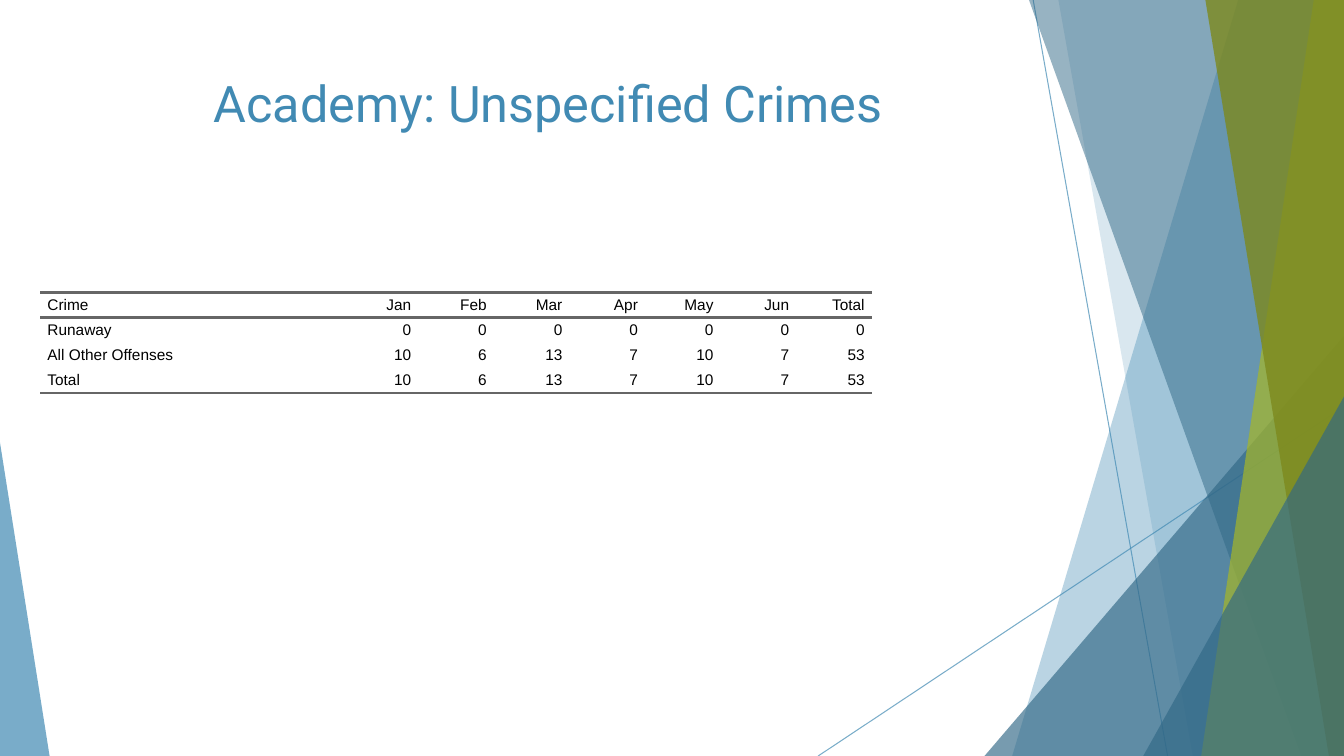
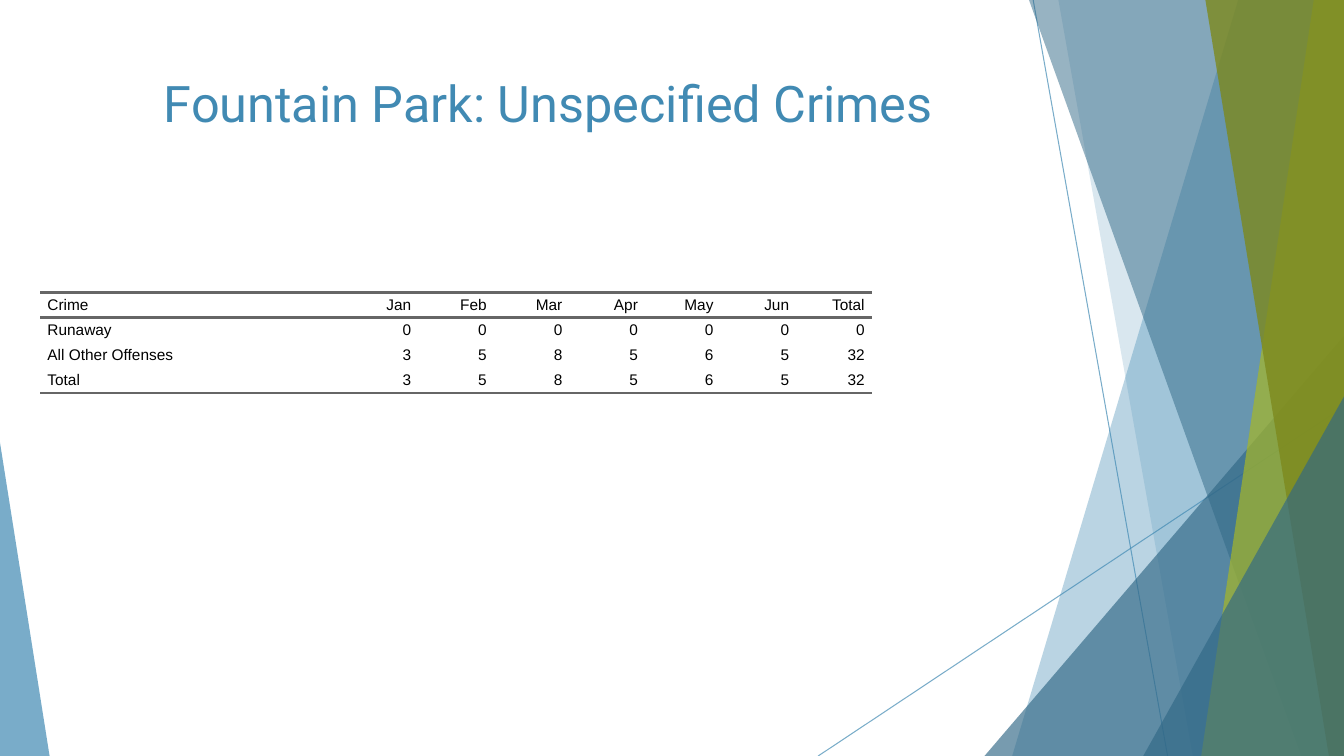
import pptx
import pptx.dml.color
import pptx.enum.shapes
import pptx.enum.text
import pptx.oxml.ns
import pptx.oxml.xmlchemy
import pptx.util

BLUE = pptx.dml.color.RGBColor(0x41, 0x8A, 0xB3)
DARK_BLUE = pptx.dml.color.RGBColor(0x31, 0x68, 0x86)
LIME = pptx.dml.color.RGBColor(0xA6, 0xB7, 0x27)
OLIVE = pptx.dml.color.RGBColor(0x7D, 0x89, 0x1D)
GREY = pptx.dml.color.RGBColor(0x66, 0x66, 0x66)
BLACK = pptx.dml.color.RGBColor(0, 0, 0)

COLUMNS, ROWS = 160, 90
NO_TABLE_STYLE = "{2D5ABB26-0587-4C30-8999-92F81FD0307C}"
ALIGN = pptx.enum.text.PP_ALIGN
ANCHOR = pptx.enum.text.MSO_ANCHOR

HEADINGS = ["Crime", "Jan", "Feb", "Mar", "Apr", "May", "Jun", "Total"]
REPORTS = {
    "Academy: Unspecified Crimes": [10, 6, 13, 7, 10, 7],
    "Fountain Park: Unspecified Crimes": [3, 5, 8, 5, 6, 5],
}


def write_text(frame, text, font, size, color, align=ALIGN.LEFT, spacing=0, indent=0):
    paragraph = frame.paragraphs[0]
    paragraph.alignment = align
    paragraph.space_before = paragraph.space_after = pptx.util.Pt(spacing)
    properties = paragraph._p.get_or_add_pPr()
    for side in ("marL", "marR"):
        properties.set(side, str(pptx.util.Inches(indent)))
    run = paragraph.add_run()
    run.text = text
    run.font.name = font
    run.font.size = pptx.util.Pt(size)
    run.font.color.rgb = color


def new_element(tag):
    return pptx.oxml.xmlchemy.OxmlElement(tag)


def set_opacity(element, percent):
    color = element.find(".//" + pptx.oxml.ns.qn("a:srgbClr"))
    alpha = new_element("a:alpha")
    alpha.set("val", str(percent * 1000))
    color.append(alpha)


def set_border(cell, sides):
    properties = cell._tc.get_or_add_tcPr()
    for position, side in enumerate(sides):
        line = new_element("a:ln" + side)
        line.set("w", str(pptx.util.Pt(2)))
        fill = new_element("a:solidFill")
        color = new_element("a:srgbClr")
        color.set("val", str(GREY))
        fill.append(color)
        line.append(fill)
        properties.insert(position, line)


class Deck:
    def __init__(self):
        self.presentation = pptx.Presentation()
        self.presentation.slide_width = pptx.util.Inches(13.33)
        self.presentation.slide_height = pptx.util.Inches(7.5)
        self.slide = None

    def x(self, columns):
        return round(self.presentation.slide_width * columns / COLUMNS)

    def y(self, rows):
        return round(self.presentation.slide_height * rows / ROWS)

    def box(self, left, top, width, height):
        return self.x(left), self.y(top), self.x(width), self.y(height)

    def new_slide(self):
        layout = self.presentation.slide_layouts[6]
        self.slide = self.presentation.slides.add_slide(layout)
        self.backdrop()

    def backdrop(self):
        self.line(123, 0, 139, ROWS)
        self.line(COLUMNS, 48.4, 97.4, ROWS)
        self.panel(147.4, 120.5, BLUE, 36)
        self.panel(126, 142, BLUE, 20)
        self.triangle(117.2, 40, COLUMNS, 1, DARK_BLUE, 66)
        self.panel(122.5, 154.9, DARK_BLUE, 50)
        self.panel(156.4, 143, LIME, 70)
        self.panel(143.5, 158.2, OLIVE, 80)
        self.triangle(136.1, 47.2, COLUMNS, 1, DARK_BLUE, 66)
        self.triangle(0, 52.7, 5.9, 0, BLUE, 70)

    def line(self, start_x, start_y, end_x, end_y):
        connector = self.slide.shapes.add_connector(
            pptx.enum.shapes.MSO_CONNECTOR.STRAIGHT,
            self.x(start_x), self.y(start_y), self.x(end_x), self.y(end_y))
        connector.line.color.rgb = BLUE
        connector.line.width = pptx.util.Pt(0.75)
        set_opacity(connector._element, 70)
        connector._element.spPr.append(new_element("a:effectLst"))

    def paint(self, shape, color, opacity):
        shape.shadow.inherit = False
        shape.fill.solid()
        shape.fill.fore_color.rgb = color
        shape.line.fill.background()
        set_opacity(shape._element, opacity)

    def panel(self, top_column, bottom_column, color, opacity):
        builder = self.slide.shapes.build_freeform(self.x(top_column), 0, 1)
        corners = [(COLUMNS, 0), (COLUMNS, ROWS), (bottom_column, ROWS)]
        builder.add_line_segments([(self.x(column), self.y(row)) for column, row in corners])
        self.paint(builder.convert_to_shape(), color, opacity)

    def triangle(self, left, top, right, apex, color, opacity):
        shape = self.slide.shapes.add_shape(
            pptx.enum.shapes.MSO_SHAPE.ISOSCELES_TRIANGLE,
            *self.box(left, top, right - left, ROWS - top))
        shape.adjustments[0] = apex
        self.paint(shape, color, opacity)

    def title(self, text):
        frame = self.slide.shapes.add_textbox(*self.box(8.9, 8, 112.8, 17.3)).text_frame
        frame.word_wrap = True
        frame.vertical_anchor = ANCHOR.TOP
        write_text(frame, text, "Roboto", 36, BLUE, align=ALIGN.CENTER)

    def table(self, records):
        widths = [36] + [9] * (len(records[0]) - 1)
        height = 3
        table = self.slide.shapes.add_table(
            len(records), len(widths),
            *self.box(4.8, 34.8, sum(widths), height * len(records))).table
        table.first_row = table.horz_banding = False
        style = table._tbl.tblPr.find(pptx.oxml.ns.qn("a:tableStyleId"))
        style.text = NO_TABLE_STYLE
        for column, width in zip(table.columns, widths):
            column.width = self.x(width)
        borders = {0: "TB", len(records) - 1: "B"}
        for row_index, record in enumerate(records):
            table.rows[row_index].height = self.y(height)
            for column_index, value in enumerate(record):
                cell = table.cell(row_index, column_index)
                cell.fill.background()
                cell.vertical_anchor = ANCHOR.MIDDLE
                cell.margin_left = cell.margin_right = 0
                cell.margin_top = cell.margin_bottom = 0
                set_border(cell, borders.get(row_index, ""))
                write_text(cell.text_frame, str(value), "Arial", 11, BLACK,
                           align=ALIGN.RIGHT if column_index else ALIGN.LEFT,
                           spacing=5, indent=0.07)


def main():
    deck = Deck()
    for title, offenses in REPORTS.items():
        counts = offenses + [sum(offenses)]
        deck.new_slide()
        deck.table([
            HEADINGS,
            ["Runaway"] + [0] * len(counts),
            ["All Other Offenses"] + counts,
            ["Total"] + counts,
        ])
        deck.title(title)
    deck.presentation.save("out.pptx")


if __name__ == "__main__":
    main()
